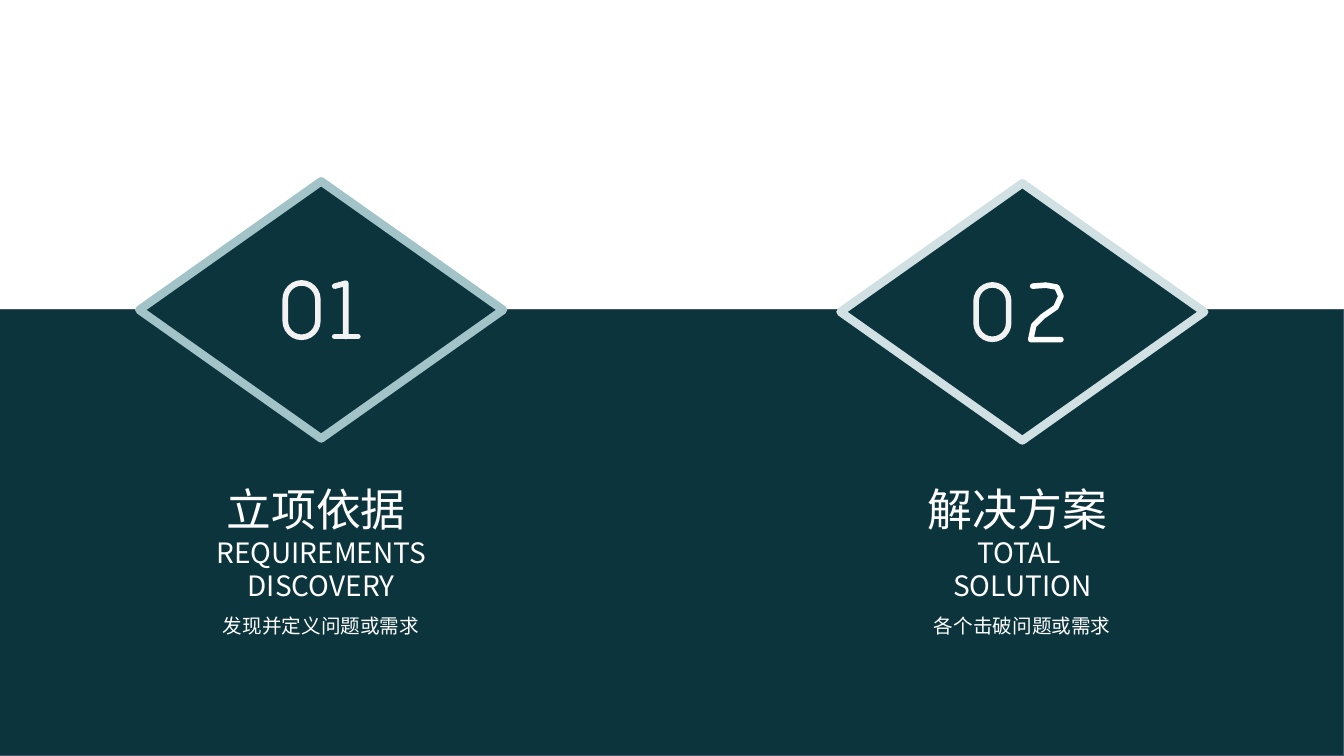
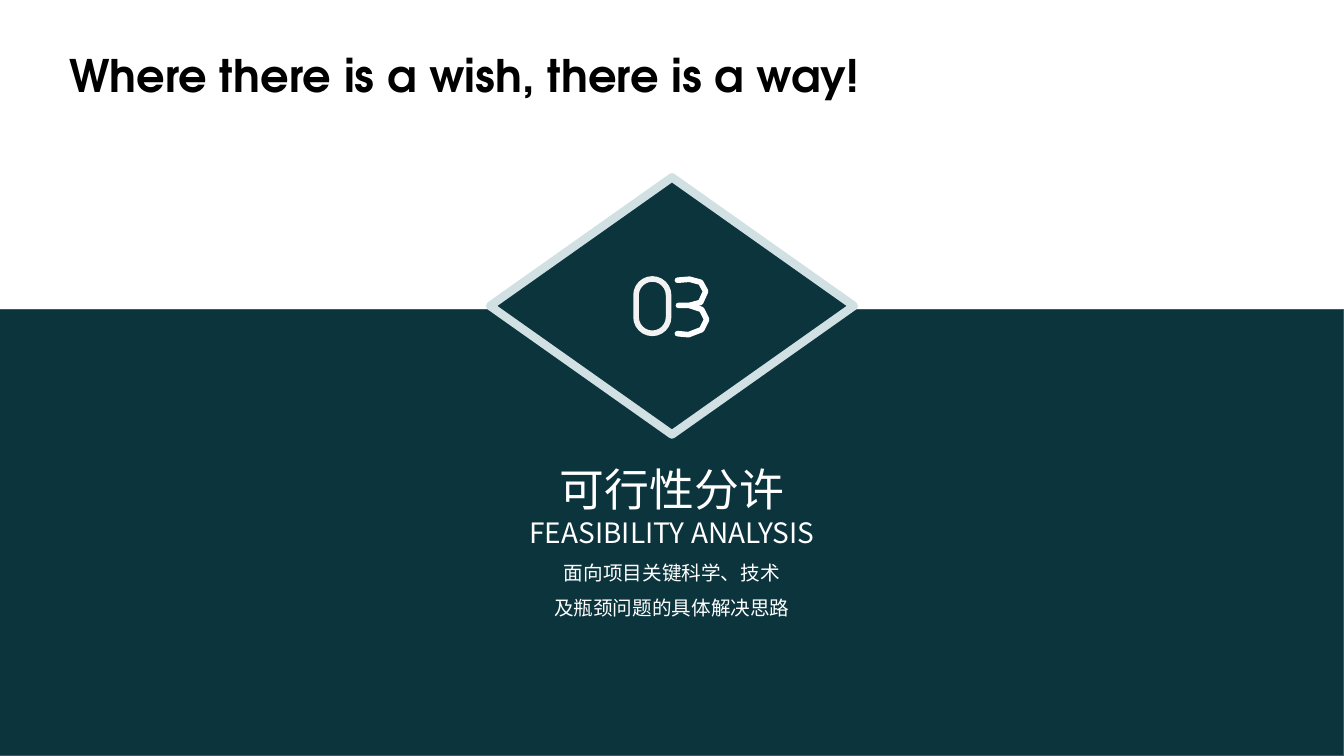
"""Build two chapter slides with numbered diamonds over a dark band."""
from dataclasses import dataclass

import lxml.etree
import pptx
import pptx.dml.color
import pptx.enum.shapes
import pptx.enum.text
import pptx.oxml.ns
import pptx.util

Cm = pptx.util.Cm
Pt = pptx.util.Pt
SHAPES = pptx.enum.shapes.MSO_SHAPE
ALIGN = pptx.enum.text.PP_ALIGN

COLORS = {
    "band": "0C343D",
    "band_edge": "44546A",
    "teal": "A2C4C9",
    "mist": "D0E0E3",
    "pearl": "F2F2F2",
    "white": "FFFFFF",
    "black": "000000",
}
BODY_FONT = "Noto Sans CJK SC"
TITLE_FONT = "TeX Gyre Adventor"
PAGE_WIDTH, PAGE_HEIGHT = 33.87, 19.05
BAND_TOP = 7.8
DIAMOND_WIDTH, DIAMOND_HEIGHT = 9.17, 6.48
CAPTION_WIDTH, CAPTION_HEIGHT = 8.31, 2.82
DIGIT_TOP = 2.49
ZERO_INSET, ZERO_WIDTH, ZERO_HEIGHT = 0.07, 0.82, 1.37
STROKE = Pt(4)
STROKE_UNIT = Cm(0.0254)

STROKES = {
    "1": [[(3, 6), (14, 3), (14, 56)], [(3, 56), (26, 56)]],
    "2": [[(5, 4), (18, 3), (29, 5), (33, 14), (28, 25), (15, 34), (6, 43), (3, 57), (33, 57)]],
    "3": [
        [(4, 4), (16, 3), (27, 6), (32, 15), (27, 26), (16, 29), (5, 29)],
        [(16, 29), (28, 33), (33, 43), (28, 53), (15, 58), (4, 57)],
    ],
}


@dataclass(frozen=True)
class Digit:
    """A figure, its distance from the diamond's left edge and its colour."""

    figure: str
    offset: float
    color: str = "pearl"


@dataclass(frozen=True)
class Line:
    """A line of text with its font settings."""

    text: str
    size: int
    spacing: float = 1.0
    font: str = BODY_FONT
    color: str = "white"
    bold: bool = False
    align: ALIGN = ALIGN.CENTER


@dataclass(frozen=True)
class Chapter:
    """A numbered diamond with the caption below it."""

    left: float
    top: float
    edge: str
    digits: tuple[Digit, ...]
    caption_top: float
    caption: tuple[Line, ...]


REQUIREMENTS = Chapter(
    3.51, 4.57, "teal", (Digit("0", 3.61), Digit("1", 4.85)), 12.01,
    (Line("立项依据 ", 32), Line("REQUIREMENTS DISCOVERY", 20),
     Line("发现并定义问题或需求", 14, 1.5)),
)
SOLUTION = Chapter(
    21.18, 4.62, "mist", (Digit("0", 3.35), Digit("2", 4.72, "white")), 12.01,
    (Line("解决方案 ", 32), Line("TOTAL ", 20), Line("SOLUTION", 20),
     Line("各个击破问题或需求", 14, 1.5)),
)
FEASIBILITY = Chapter(
    12.35, 4.47, "mist", (Digit("0", 3.61), Digit("3", 4.62, "white")), 11.51,
    (Line("可行性分许", 32), Line("FEASIBILITY ANALYSIS", 20),
     Line("面向项目关键科学、技术", 14, 1.5), Line("及瓶颈问题的具体解决思路", 14, 1.5)),
)
MOTTO = Line("Where there is a wish, there is a way!", 32, font=TITLE_FONT,
             color="black", bold=True, align=ALIGN.LEFT)


def rgb(name: str) -> pptx.dml.color.RGBColor:
    """Return the named colour."""
    return pptx.dml.color.RGBColor.from_string(COLORS[name])


def add_solid(page, kind: SHAPES, left: float, top: float, width: float, height: float,
              edge: str, weight: float) -> None:
    """Draw a preset shape in the band colour with an outline."""
    shape = page.shapes.add_shape(kind, Cm(left), Cm(top), Cm(width), Cm(height))
    shape.shadow.inherit = False
    shape.fill.solid()
    shape.fill.fore_color.rgb = rgb("band")
    shape.line.color.rgb = rgb(edge)
    shape.line.width = Pt(weight)


def add_digit(page, digit: Digit, left: float, top: float) -> None:
    """Draw one figure with round-ended strokes."""
    if digit.figure == "0":
        shape = page.shapes.add_shape(
            SHAPES.ROUNDED_RECTANGLE, Cm(left + ZERO_INSET), Cm(top + ZERO_INSET),
            Cm(ZERO_WIDTH), Cm(ZERO_HEIGHT))
        shape.adjustments[0] = 0.5
    else:
        strokes = STROKES[digit.figure]
        builder = page.shapes.build_freeform(*strokes[0][0], scale=STROKE_UNIT)
        for index, stroke in enumerate(strokes):
            if index:
                builder.move_to(*stroke[0])
            builder.add_line_segments(stroke[1:], close=False)
        shape = builder.convert_to_shape(Cm(left), Cm(top))
    shape.shadow.inherit = False
    shape.fill.background()
    shape.line.color.rgb = rgb(digit.color)
    shape.line.width = STROKE
    outline = shape.line._get_or_add_ln()
    outline.set("cap", "rnd")
    lxml.etree.SubElement(outline, pptx.oxml.ns.qn("a:round"))


def add_text(page, left: float, top: float, width: float, height: float,
             lines: tuple[Line, ...]) -> None:
    """Write lines as paragraphs of one wrapped text box."""
    frame = page.shapes.add_textbox(Cm(left), Cm(top), Cm(width), Cm(height)).text_frame
    frame.word_wrap = True
    for index, line in enumerate(lines):
        para = frame.add_paragraph() if index else frame.paragraphs[0]
        para.text = line.text
        para.alignment = line.align
        para.line_spacing = line.spacing
        para.font.size = Pt(line.size)
        para.font.bold = line.bold
        para.font.color.rgb = rgb(line.color)
        para.font.name = line.font
        defaults = para._p.get_or_add_pPr().get_or_add_defRPr()
        lxml.etree.SubElement(defaults, pptx.oxml.ns.qn("a:ea"), typeface=line.font)


def add_chapter(page, chapter: Chapter) -> None:
    """Draw a diamond, its number and its caption."""
    add_solid(page, SHAPES.DIAMOND, chapter.left, chapter.top,
              DIAMOND_WIDTH, DIAMOND_HEIGHT, chapter.edge, 6)
    for digit in chapter.digits:
        add_digit(page, digit, chapter.left + digit.offset, chapter.top + DIGIT_TOP)
    add_text(page, chapter.left + (DIAMOND_WIDTH - CAPTION_WIDTH) / 2, chapter.caption_top,
             CAPTION_WIDTH, CAPTION_HEIGHT, chapter.caption)


def add_page(deck, *chapters: Chapter):
    """Add a slide with the dark band and the given chapters."""
    page = deck.slides.add_slide(deck.slide_layouts[6])
    add_solid(page, SHAPES.RECTANGLE, 0, BAND_TOP, PAGE_WIDTH, PAGE_HEIGHT - BAND_TOP,
              "band_edge", 0.75)
    for chapter in chapters:
        add_chapter(page, chapter)
    return page


def main() -> None:
    """Build and save the deck."""
    deck = pptx.Presentation()
    deck.slide_width, deck.slide_height = Cm(PAGE_WIDTH), Cm(PAGE_HEIGHT)
    add_page(deck, REQUIREMENTS, SOLUTION)
    page = add_page(deck, FEASIBILITY)
    add_text(page, 1.5, 1.07, 21.54, 2.06, (MOTTO,))
    deck.save("out.pptx")


if __name__ == "__main__":
    main()
